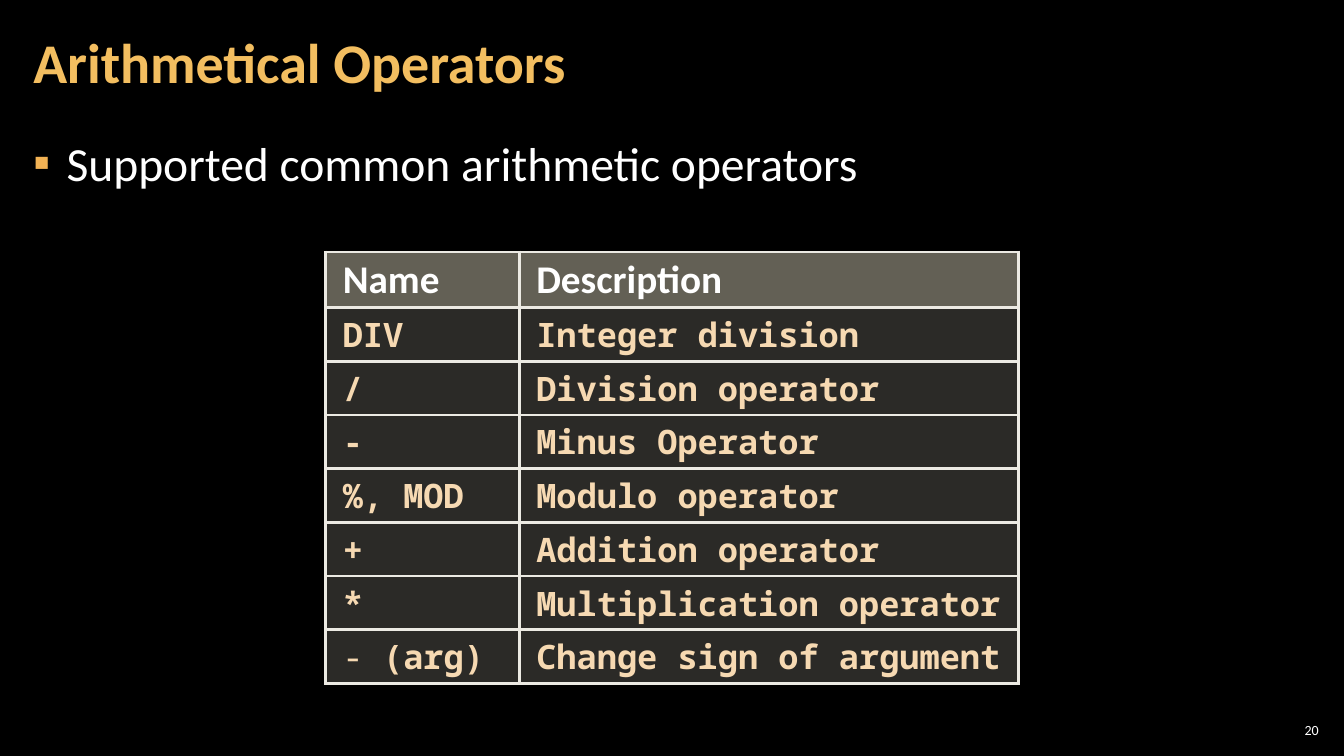
from dataclasses import dataclass

from lxml import etree
from pptx import Presentation
from pptx.dml import color
from pptx.enum import text
from pptx.oxml import ns
from pptx.util import Inches, Pt


@dataclass(frozen=True)
class Theme:
    sans: str = "Calibri"
    mono: str = "Noto Sans Mono"
    background: str = "000000"
    white: str = "FFFFFF"
    gold: str = "F3BE60"
    bullet: str = "F2B254"
    operator: str = "F6D9B2"
    border: str = "ECEAE3"
    header_fill: str = "C6C0AA"
    row_fill: str = "D9D5C7"
    title_size: int = 40
    body_size: int = 34
    header_size: int = 28
    operator_size: int = 24
    number_size: int = 10
    border_width: float = 2.25


def rgb(value):
    return color.RGBColor.from_string(value)


def add_xml(parent, tag, **attributes):
    return etree.SubElement(parent, ns.qn(tag), attributes)


class SlideBuilder:
    def __init__(self, deck, theme):
        self.theme = theme
        self.slide = deck.slides.add_slide(deck.slide_layouts[1])
        background = self.slide.background.fill
        background.solid()
        background.fore_color.rgb = rgb(theme.background)

    def place(self, shape, left, top, width, height):
        shape.left, shape.top = Inches(left), Inches(top)
        shape.width, shape.height = Inches(width), Inches(height)

    def frame(self, shape, side, anchor):
        frame = shape.text_frame
        frame.word_wrap = True
        frame.auto_size = text.MSO_AUTO_SIZE.NONE
        frame.vertical_anchor = anchor
        frame.margin_left = frame.margin_right = Inches(side)
        frame.margin_top = frame.margin_bottom = Inches(0.04)
        return frame.paragraphs[0]

    def add_run(self, paragraph, wording, size, ink, font=None, bold=False):
        run = paragraph.add_run()
        run.text = wording
        run.font.name = font or self.theme.sans
        run.font.size = Pt(size)
        run.font.bold = bold
        run.font.color.rgb = rgb(ink)

    def title(self, wording, *box):
        heading = self.slide.shapes.title
        self.place(heading, *box)
        paragraph = self.frame(heading, 0.12, text.MSO_ANCHOR.MIDDLE)
        paragraph.alignment = text.PP_ALIGN.LEFT
        paragraph.line_spacing = 0.9
        self.add_run(paragraph, wording, self.theme.title_size, self.theme.gold, bold=True)

    def bullet(self, wording, *box):
        body = self.slide.placeholders[1]
        self.place(body, *box)
        paragraph = self.frame(body, 0.12, text.MSO_ANCHOR.TOP)
        properties = paragraph._p.get_or_add_pPr()
        properties.set("marL", str(Inches(0.33)))
        properties.set("indent", str(Inches(-0.33)))
        add_xml(add_xml(properties, "a:buClr"), "a:srgbClr", val=self.theme.bullet)
        add_xml(properties, "a:buFont", typeface=self.theme.sans)
        add_xml(properties, "a:buChar", char="▪")
        paragraph.line_spacing = 1.05
        paragraph.space_before = Pt(0)
        paragraph.space_after = Pt(6)
        self.add_run(paragraph, wording, self.theme.body_size, self.theme.white)

    def slide_number(self, number, *box):
        corner = self.slide.shapes.add_textbox(*map(Inches, box))
        paragraph = self.frame(corner, 0.04, text.MSO_ANCHOR.MIDDLE)
        paragraph.alignment = text.PP_ALIGN.RIGHT
        self.add_run(paragraph, number, self.theme.number_size, self.theme.white)

    def style_cell(self, cell, fill, opacity):
        """Give a cell its margins, see-through fill and four borders."""
        cell.margin_left = cell.margin_right = Inches(0.17)
        cell.margin_top = cell.margin_bottom = Inches(0.05)
        properties = cell._tc.get_or_add_tcPr()
        for side in ("a:lnL", "a:lnR", "a:lnT", "a:lnB"):
            line = add_xml(properties, side, w=str(Pt(self.theme.border_width)))
            add_xml(add_xml(line, "a:solidFill"), "a:srgbClr", val=self.theme.border)
        tint = add_xml(add_xml(properties, "a:solidFill"), "a:srgbClr", val=fill)
        add_xml(tint, "a:alpha", val=str(opacity * 1000))

    def table(self, rows, left, top, column_widths, header_height, row_height):
        """Draw rows of cells; each cell is a list of (wording, bold) runs."""
        theme = self.theme
        height = header_height + row_height * (len(rows) - 1)
        grid = self.slide.shapes.add_table(
            len(rows), len(column_widths), Inches(left), Inches(top),
            Inches(sum(column_widths)), Inches(height)).table
        grid.horz_banding = False
        for column, width in zip(grid.columns, column_widths):
            column.width = Inches(width)
        for index, row in enumerate(rows):
            header = index == 0
            grid.rows[index].height = Inches(header_height if header else row_height)
            if header:
                fill, look = (theme.header_fill, 50), (theme.header_size, theme.white, theme.sans)
            else:
                fill, look = (theme.row_fill, 20), (theme.operator_size, theme.operator, theme.mono)
            for cell, runs in zip(grid.rows[index].cells, row):
                self.style_cell(cell, *fill)
                paragraph = cell.text_frame.paragraphs[0]
                paragraph.line_spacing = 0.95
                for wording, bold in runs:
                    self.add_run(paragraph, wording, *look, bold=bold)


OPERATORS = [
    ("Name", "Description"),
    ("DIV", "Integer division"),
    ("/", "Division operator"),
    ("-", "Minus Operator"),
    ("%, MOD", "Modulo operator"),
    ("+", "Addition operator"),
    ("*", "Multiplication operator"),
]
SIGN_CHANGE = [[("-", False), (" (arg)", True)], [("Change sign of argument", True)]]


def main():
    deck = Presentation()
    deck.slide_width, deck.slide_height = Inches(13.33), Inches(7.5)
    page = SlideBuilder(deck, Theme())
    page.slide_number("20", 12.65, 7.14, 0.47, 0.21)
    page.bullet("Supported common arithmetic operators", 0.21, 1.26, 12.91, 6.09)
    page.title("Arithmetical Operators", 0.21, 0.04, 10.47, 1.21)
    rows = [[[(wording, True)] for wording in row] for row in OPERATORS]
    page.table(rows + [SIGN_CHANGE], 3.23, 2.5, (1.92, 4.95), 0.55, 0.48)
    deck.save("out.pptx")


if __name__ == "__main__":
    main()
